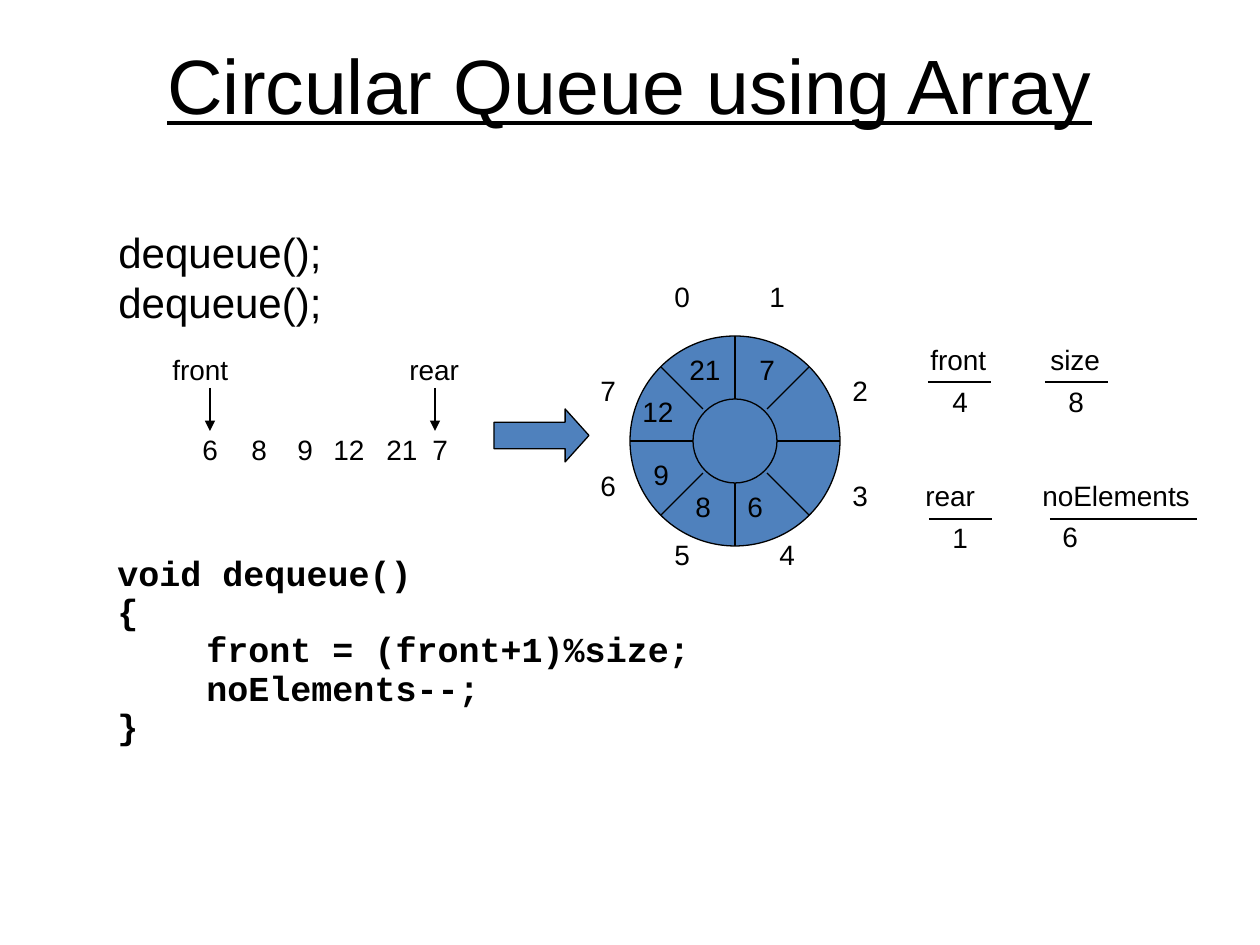
from dataclasses import dataclass
from typing import Any

from lxml import etree
from pptx import Presentation
from pptx import util as u
from pptx.dml.color import RGBColor
from pptx.enum import shapes, text
from pptx.oxml import ns

PX_PER_INCH = 126


@dataclass(frozen=True)
class Theme:
    ink: RGBColor = RGBColor(0x00, 0x00, 0x00)
    ring: RGBColor = RGBColor(0x4F, 0x81, 0xBD)
    sans: str = "Arial"
    mono: str = "Courier New"
    title: int = 44
    calls: int = 24
    code: int = 20
    label: int = 16
    line: float = 0.75


@dataclass(frozen=True)
class Label:
    words: str
    left: int
    top: int
    width: int = 41


@dataclass(frozen=True)
class Readout:
    name: Label
    value: Label
    rule_left: int
    rule_top: int
    rule_width: int = 63


THEME = Theme()

POINTERS = [Label("front", 160, 346, 82), Label("rear", 397, 346, 76)]
POINTER_ARROWS = [210, 435]
QUEUE = [
    Label("6", 190, 426), Label("8", 239, 426), Label("9", 285, 426),
    Label("12", 321, 426, 57), Label("21", 374, 426, 57), Label("7", 420, 426),
]
INDICES = [
    Label("0", 662, 273), Label("1", 757, 273), Label("2", 840, 367),
    Label("3", 840, 472), Label("4", 767, 531), Label("5", 662, 531),
    Label("6", 588, 462), Label("7", 588, 367),
]
CELLS = [
    Label("21", 677, 346, 57), Label("7", 747, 346), Label("12", 630, 388, 57),
    Label("9", 641, 451), Label("8", 683, 483), Label("6", 735, 483),
]
READOUTS = [
    Readout(Label("front", 918, 336, 82), Label("4", 940, 378), 928, 382),
    Readout(Label("size", 1038, 336, 76), Label("8", 1056, 378), 1045, 382),
    Readout(Label("rear", 913, 472, 76), Label("1", 940, 514), 929, 519),
    Readout(Label("noElements", 1030, 472, 174), Label("6", 1050, 513), 1050, 519, 147),
]
CODE = [
    ("void dequeue()", 0), ("{", 0), ("front = (front+1)%size;", 89),
    ("noElements--;", 89), ("}", 0),
]


def px(length: int) -> u.Emu:
    return u.Emu(round(length * 914400 / PX_PER_INCH))


def add_text(page: Any, lines: list[tuple[str, int]], left: int, top: int,
             width: int, height: int, *, size: int, font: str = THEME.sans,
             bold: bool = False, underline: bool = False, wrap: bool = False,
             align: Any = text.PP_ALIGN.LEFT, anchor: Any = text.MSO_ANCHOR.TOP,
             spacing: float = 1.0, before: float = 0) -> None:
    box = page.shapes.add_textbox(px(left), px(top), px(width), px(height))
    frame = box.text_frame
    frame.word_wrap = wrap
    frame.auto_size = (text.MSO_AUTO_SIZE.NONE if wrap
                       else text.MSO_AUTO_SIZE.SHAPE_TO_FIT_TEXT)
    frame.vertical_anchor = anchor
    for number, (words, indent) in enumerate(lines):
        para = frame.add_paragraph() if number else frame.paragraphs[0]
        para.alignment = align
        para.line_spacing = spacing
        para.space_before = u.Pt(before)
        if indent:
            para._p.get_or_add_pPr().set("marL", str(px(indent)))
        span = para.add_run()
        span.text = words
        span.font.name = font
        span.font.size = u.Pt(size)
        span.font.bold = bold
        span.font.underline = underline
        span.font.color.rgb = THEME.ink


def add_label(page: Any, label: Label) -> None:
    add_text(page, [(label.words, 0)], label.left, label.top, label.width, 47,
             size=THEME.label)


def add_line(page: Any, x1: int, y1: int, x2: int, y2: int, arrow: bool = False) -> None:
    line = page.shapes.add_connector(
        shapes.MSO_CONNECTOR.STRAIGHT, px(x1), px(y1), px(x2), px(y2))
    line.line.color.rgb = THEME.ink
    line.line.width = u.Pt(THEME.line)
    if arrow:
        etree.SubElement(line.line._get_or_add_ln(), ns.qn("a:tailEnd"), type="triangle")
    etree.SubElement(line._element.spPr, ns.qn("a:effectLst"))


def add_solid(page: Any, kind: Any, left: int, top: int, width: int, height: int) -> Any:
    solid = page.shapes.add_shape(kind, px(left), px(top), px(width), px(height))
    solid.shadow.inherit = False
    solid.fill.solid()
    solid.fill.fore_color.rgb = THEME.ring
    solid.line.color.rgb = THEME.ink
    solid.line.width = u.Pt(THEME.line)
    return solid


def add_ring(page: Any, x: int, y: int, outer: int, inner: int) -> None:
    for radius in (outer, inner):
        add_solid(page, shapes.MSO_SHAPE.OVAL, x - radius, y - radius,
                  2 * radius, 2 * radius)
    for dx in (-1, 0, 1):
        for dy in (-1, 0, 1):
            if dx or dy:
                near, far = (32, 74) if dx and dy else (inner, outer)
                add_line(page, x + dx * near, y + dy * near, x + dx * far, y + dy * far)


def add_readout(page: Any, readout: Readout) -> None:
    add_label(page, readout.name)
    add_label(page, readout.value)
    add_line(page, readout.rule_left, readout.rule_top,
             readout.rule_left + readout.rule_width, readout.rule_top)


def main() -> None:
    deck = Presentation()
    deck.slide_width, deck.slide_height = px(1260), px(945)
    page = deck.slides.add_slide(deck.slide_layouts[6])

    add_text(page, [("Circular Queue using Array", 0)], 63, 21, 1134, 126,
             size=THEME.title, underline=True, wrap=True,
             align=text.PP_ALIGN.CENTER, anchor=text.MSO_ANCHOR.MIDDLE)
    add_text(page, [("dequeue();", 0)] * 2, 106, 220, 228, 113, size=THEME.calls)
    add_text(page, CODE, 105, 557, 756, 325, size=THEME.code, font=THEME.mono,
             bold=True, wrap=True, spacing=0.7, before=5)

    add_ring(page, 735, 441, 105, 42)
    for label in POINTERS + QUEUE + INDICES + CELLS:
        add_label(page, label)
    for x in POINTER_ARROWS:
        add_line(page, x, 388, x, 431, arrow=True)
    arrow = add_solid(page, shapes.MSO_SHAPE.RIGHT_ARROW, 494, 409, 95, 53)
    arrow.adjustments[1] = 0.45
    for readout in READOUTS:
        add_readout(page, readout)

    deck.save("out.pptx")


if __name__ == "__main__":
    main()
